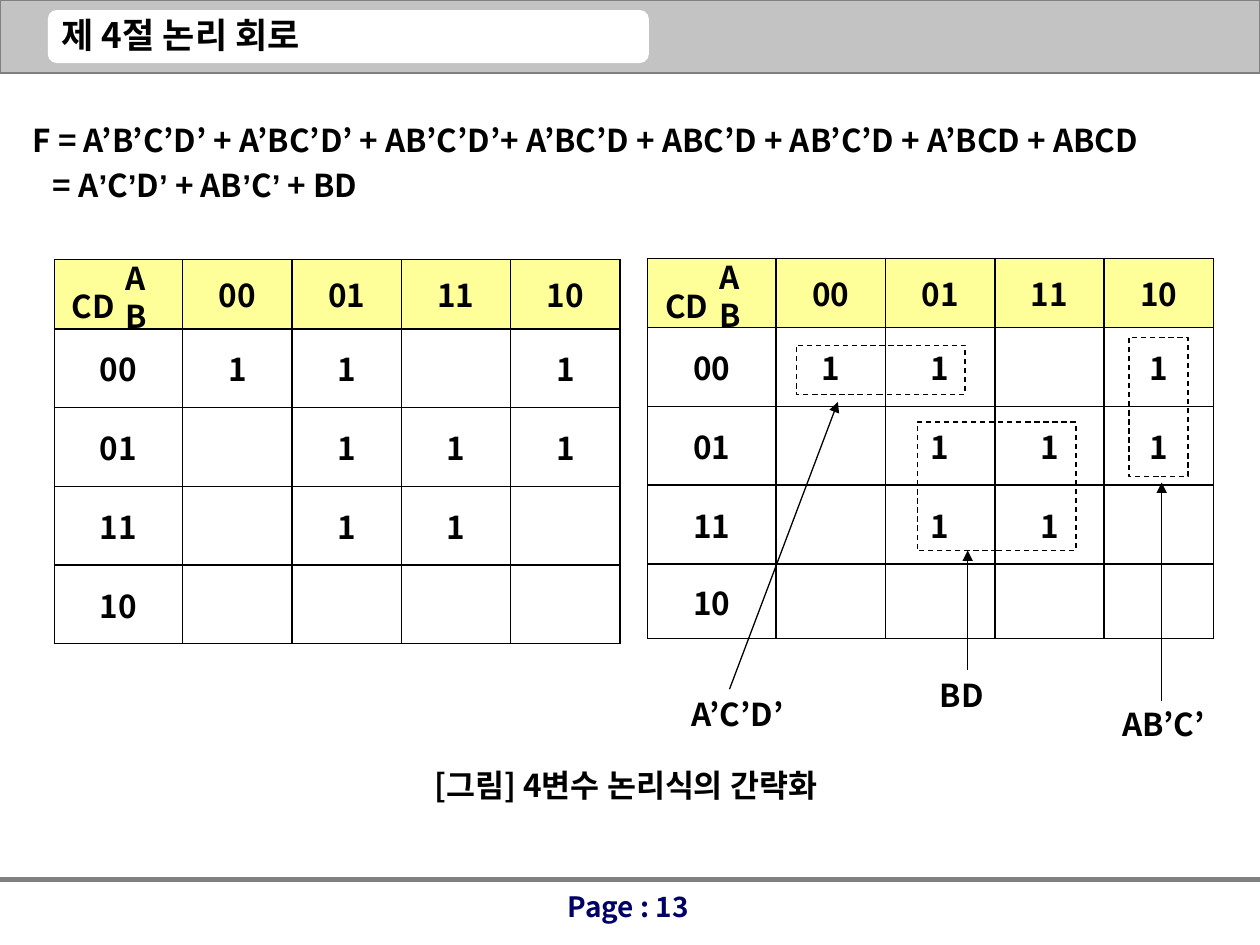
"""Build the slide on simplifying a four-variable logic expression with Karnaugh maps."""
import dataclasses
import typing

import lxml.etree
import pptx
import pptx.dml.color
import pptx.enum.dml
import pptx.enum.shapes
import pptx.enum.text
import pptx.oxml.ns
import pptx.util

WIDTH = pptx.util.Inches(10)
HEIGHT = pptx.util.Inches(7.5)
COLUMNS = 100
FONT = "Noto Sans CJK KR"
BLACK = "000000"
GREY = "808080"
CODES = ["00", "01", "11", "10"]
ONES = {("00", "00"), ("00", "01"), ("00", "10"), ("01", "01"), ("01", "11"),
        ("01", "10"), ("11", "01"), ("11", "11")}
ALIGN = pptx.enum.text.PP_ALIGN
SHAPE = pptx.enum.shapes.MSO_SHAPE


@dataclasses.dataclass
class Area:
    """A rectangle in grid columns and rows."""
    left: float
    top: float
    width: float
    height: float

    def lengths(self) -> list[int]:
        """Return the rectangle as slide lengths."""
        return [grid(value) for value in dataclasses.astuple(self)]


@dataclasses.dataclass
class KarnaughMap:
    """A table position with its row heights and its corner label tops."""
    left: float
    top: float
    rows: list[float]
    variables_top: float


@dataclasses.dataclass
class Group:
    """A dashed group of ones, its term and the arrow that joins them."""
    area: Area
    term: str
    label: Area
    start: tuple[float, float]
    end: tuple[float, float]


MAPS = [KarnaughMap(4.3, 20.6, [5.5] + [6.25] * 4, 20.1),
        KarnaughMap(51.4, 20.5, [5.5] + [6.25] * 3 + [5.95], 20)]
MAP_COLUMNS = [10.2] + [8.68] * 4
GROUPS = [
    Group(Area(63.2, 27.4, 13.4, 3.9), "A’C’D’", Area(53.9, 54.7, 9.6, 4), (57.9, 54.7), (66.5, 31.9)),
    Group(Area(89.6, 26.8, 4.7, 11), "AB’C’", Area(88.1, 55.5, 8.7, 4), (92.2, 55.6), (92.2, 38.3)),
    Group(Area(72.8, 33.5, 12.6, 10.2), "BD", Area(73.6, 53.2, 5.5, 4), (76.8, 53.2), (76.8, 43.7)),
]


def grid(value: float) -> int:
    """Turn grid columns or rows into a slide length."""
    return int(WIDTH * value / COLUMNS)


def color(code: str) -> pptx.dml.color.RGBColor:
    """Turn a hex string into a colour."""
    return pptx.dml.color.RGBColor.from_string(code)


def child(parent: typing.Any, tag: str, **attributes: str) -> typing.Any:
    """Append a DrawingML element."""
    return lxml.etree.SubElement(parent, pptx.oxml.ns.qn(tag), attributes)


def add_span(para: typing.Any, text: str, size: float = 18, shade: str = BLACK, font: str = FONT) -> None:
    """Add one bold run."""
    span = para.add_run()
    span.text = text
    span.font.size = pptx.util.Pt(size)
    span.font.bold = True
    span.font.color.rgb = color(shade)
    span.font.name = font
    child(span.font._element, "a:ea", typeface=FONT)


def add_box(slide: typing.Any, area: Area, wrap: bool = False) -> typing.Any:
    """Add a text box and return its first paragraph."""
    box = slide.shapes.add_textbox(*area.lengths())
    box.text_frame.word_wrap = wrap
    return box.text_frame.paragraphs[0]


def add_panel(slide: typing.Any, kind: typing.Any, area: Area, fill: str | None,
              line: str | None, dashed: bool = False) -> typing.Any:
    """Add a plain shape with an optional fill and outline."""
    shape = slide.shapes.add_shape(kind, *area.lengths())
    shape.shadow.inherit = False
    if fill:
        shape.fill.solid()
        shape.fill.fore_color.rgb = color(fill)
    else:
        shape.fill.background()
    if line:
        shape.line.color.rgb = color(line)
        shape.line.width = pptx.util.Pt(0.75)
    else:
        shape.line.fill.background()
    if dashed:
        shape.line.dash_style = pptx.enum.dml.MSO_LINE.DASH
    return shape


def add_line(slide: typing.Any, start: tuple[float, float], end: tuple[float, float],
             shade: str, width: float, arrow: bool = False) -> None:
    """Add a straight line, with an arrowhead at its end on request."""
    line = slide.shapes.add_connector(
        pptx.enum.shapes.MSO_CONNECTOR.STRAIGHT, *[grid(value) for value in start + end])
    line.line.color.rgb = color(shade)
    line.line.width = pptx.util.Pt(width)
    if arrow:
        child(line.line._get_or_add_ln(), "a:tailEnd", type="triangle")
    child(line._element.spPr, "a:effectLst")


def set_borders(cell: typing.Any, outer: dict[str, bool]) -> None:
    """Draw the four borders of a cell, thinner on the outside of the table."""
    properties = cell._tc.get_or_add_tcPr()
    for index, (tag, outside) in enumerate(outer.items()):
        border = child(properties, tag, w=str(pptx.util.Pt(0.75 if outside else 1)))
        child(child(border, "a:solidFill"), "a:srgbClr", val=BLACK)
        properties.insert(index, border)


def cell_text(row: int, column: int) -> str:
    """Return the header code or the one that belongs in a cell."""
    if row == 0 or column == 0:
        return CODES[row + column - 1] if row + column else ""
    return "1" if (CODES[row - 1], CODES[column - 1]) in ONES else ""


def add_map(slide: typing.Any, chart: KarnaughMap) -> None:
    """Add a Karnaugh map with its corner labels."""
    area = Area(chart.left, chart.top, sum(MAP_COLUMNS), sum(chart.rows))
    last = len(CODES)
    table = slide.shapes.add_table(last + 1, last + 1, *area.lengths()).table
    table.first_row = table.horz_banding = False
    for column, width in enumerate(MAP_COLUMNS):
        table.columns[column].width = grid(width)
    for row, height in enumerate(chart.rows):
        table.rows[row].height = grid(height)
        for column in range(last + 1):
            cell = table.cell(row, column)
            cell.vertical_anchor = pptx.enum.text.MSO_ANCHOR.MIDDLE
            if row == 0:
                cell.fill.solid()
                cell.fill.fore_color.rgb = color("FFFF99")
            else:
                cell.fill.background()
            set_borders(cell, {"a:lnL": column == 0, "a:lnR": column == last,
                               "a:lnT": row == 0, "a:lnB": row == last})
            text = cell_text(row, column)
            if text:
                para = cell.text_frame.paragraphs[0]
                para.alignment = ALIGN.CENTER
                para.space_before = pptx.util.Pt(3.6)
                add_span(para, text)
    add_span(add_box(slide, Area(chart.left + 4.7, chart.variables_top, 5, 4), wrap=True), "AB")
    add_span(add_box(slide, Area(chart.left + 0.4, 22.3, 5.6, 4)), "CD")


def add_header(slide: typing.Any) -> None:
    """Draw the title band and place the title on it."""
    add_panel(slide, SHAPE.RECTANGLE, Area(0, 0, COLUMNS, 5.8), "C3C3C3", GREY)
    add_panel(slide, SHAPE.ROUNDED_RECTANGLE, Area(3.8, 0.8, 47.7, 4.2), "FFFFFF", None)
    title = slide.shapes.title
    slide.shapes._spTree.append(title._element)
    title.left, title.top, title.width, title.height = Area(3.9, 0.6, 22.6, 4.3).lengths()
    frame = title.text_frame
    frame.word_wrap = False
    frame.auto_size = pptx.enum.text.MSO_AUTO_SIZE.NONE
    frame.vertical_anchor = pptx.enum.text.MSO_ANCHOR.TOP
    frame.paragraphs[0].alignment = ALIGN.LEFT
    add_span(frame.paragraphs[0], "제 4절 논리 회로", 20)


def add_formula(slide: typing.Any) -> None:
    """Write the full expression and its simplified form."""
    full = add_box(slide, Area(1.6, 8.5, 97.3, 8.2), wrap=True)
    full.line_spacing = 1.2
    add_span(full, "F = A’B’C’D’ + A’BC’D’ + AB’C’D’+ A’BC’D + ABC’D + AB’C’D + A’BCD + ABCD")
    simple = full._parent.add_paragraph()
    simple.line_spacing = 1.2
    simple._p.get_or_add_pPr().set("marL", str(grid(1.6)))
    for index, text in enumerate(["= A", "C", "D", " + AB", "C", " + BD"]):
        if index not in (0, 3 + 3):
            add_span(simple, "’", font="Arial")
        add_span(simple, text)


def main() -> None:
    """Build and save the deck."""
    deck = pptx.Presentation()
    deck.slide_width, deck.slide_height = WIDTH, HEIGHT
    page = deck.slides.add_slide(deck.slide_layouts.get_by_name("Title Only"))
    add_header(page)
    add_line(page, (0, 69.8), (COLUMNS, 69.8), GREY, 3)
    footer = add_box(page, Area(38.2, 70.1, 23.3, 5.2), wrap=True)
    footer.alignment = ALIGN.CENTER
    add_span(footer, "Page : 13", 16, "000066")
    add_formula(page)
    for chart in MAPS:
        add_map(page, chart)
    add_span(add_box(page, Area(33.5, 60.3, 35.3, 4)), "[그림] 4변수 논리식의 간략화")
    for group in GROUPS:
        add_panel(page, SHAPE.RECTANGLE, group.area, None, BLACK, dashed=True)
        add_span(add_box(page, group.label), group.term)
        add_line(page, group.start, group.end, BLACK, 0.75, arrow=True)
    deck.save("out.pptx")


if __name__ == "__main__":
    main()
